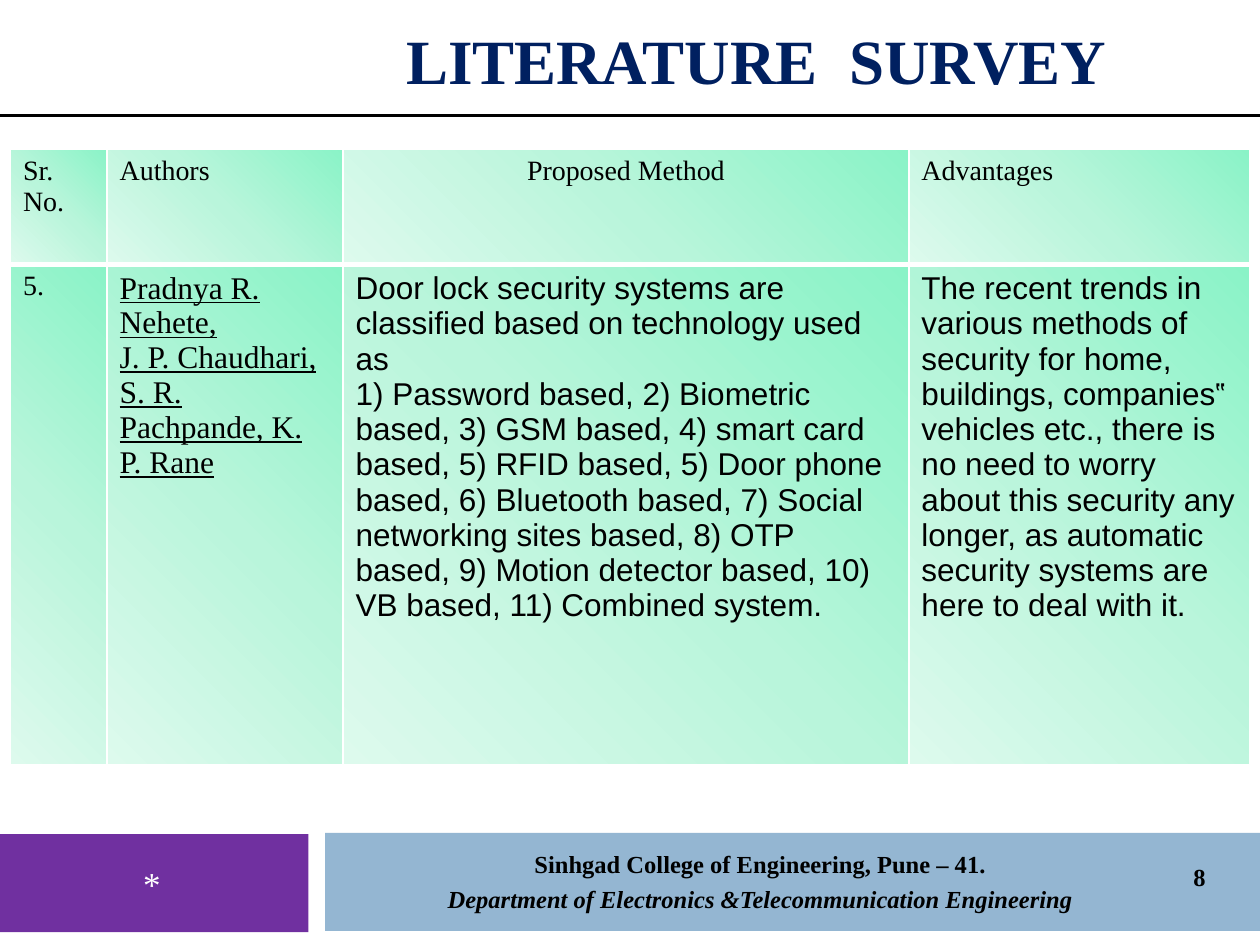
from dataclasses import dataclass

from lxml import etree
from pptx import Presentation
from pptx.dml.color import RGBColor
from pptx.enum.shapes import MSO_CONNECTOR, MSO_SHAPE
from pptx.enum.text import MSO_ANCHOR, PP_ALIGN
from pptx.oxml import parse_xml
from pptx.oxml.ns import nsdecls, qn
from pptx.util import Pt


@dataclass(frozen=True)
class Theme:
    serif: str = "Times New Roman"
    sans: str = "Arial"
    ink: str = "000000"
    white: str = "FFFFFF"
    navy: str = "002060"
    purple: str = "7030A0"
    blue: str = "94B6D2"
    mint: tuple = ("8AF3C7", "B9F5DB", "DDFAED")
    title: int = 36
    mark: int = 20
    body: int = 18
    head: int = 16
    footer: int = 14


T = Theme()
CENTER = PP_ALIGN.CENTER


def write(p, text, size, color=T.ink, font=T.serif, align=PP_ALIGN.LEFT,
          bold=False, italic=False, underline=False):
    p.alignment = align
    r = p.add_run()
    r.text = text
    f = r.font
    f.name, f.size, f.bold, f.italic, f.underline = font, Pt(size), bold, italic, underline
    f.color.rgb = RGBColor.from_string(color)


def add_text(slide, box, anchor=MSO_ANCHOR.MIDDLE):
    tf = slide.shapes.add_textbox(*map(Pt, box)).text_frame
    tf.word_wrap = True
    tf.vertical_anchor = anchor
    return tf


def add_block(slide, box, color):
    sp = slide.shapes.add_shape(MSO_SHAPE.RECTANGLE, *map(Pt, box))
    sp.shadow.inherit = False
    sp.fill.solid()
    sp.fill.fore_color.rgb = RGBColor.from_string(color)
    sp.line.fill.background()


def add_header(slide, box):
    x, y, w, h = box
    rule = slide.shapes.add_connector(MSO_CONNECTOR.STRAIGHT, Pt(x), Pt(y + h), Pt(x + w), Pt(y + h))
    rule.line.width = Pt(1.75)
    rule.line.color.rgb = RGBColor.from_string(T.ink)
    etree.SubElement(rule._element.spPr, qn("a:effectLst"))
    tf = add_text(slide, (x + 225, y + 13.5, 435, 41))
    write(tf.paragraphs[0], "LITERATURE  SURVEY", T.title, T.navy, bold=True)


def style_cell(cell, top, bottom):
    tc_pr = cell._tc.get_or_add_tcPr()
    for side, width in (("L", 1), ("R", 1), ("T", top), ("B", bottom)):
        tc_pr.append(parse_xml(
            f'<a:ln{side} {nsdecls("a")} w="{Pt(width)}"><a:solidFill>'
            f'<a:srgbClr val="{T.white}"/></a:solidFill></a:ln{side}>'))
    stops = "".join(f'<a:gs pos="{i * 50000}"><a:srgbClr val="{c}"/></a:gs>'
                    for i, c in enumerate(T.mint))
    tc_pr.append(parse_xml(
        f'<a:gradFill {nsdecls("a")} rotWithShape="1"><a:gsLst>{stops}</a:gsLst>'
        f'<a:lin ang="{135 * 60000}" scaled="0"/></a:gradFill>'))


def add_survey(slide, box):
    x, y, w, h = box
    head = dict(size=T.head)
    names = dict(size=T.body, underline=True)
    prose = dict(size=T.body, font=T.sans)
    rows = [
        [(["Sr. No."], head), (["Authors"], head),
         (["Proposed Method"], dict(head, align=CENTER)), (["Advantages"], head)],
        [(["5."], dict(head, align=PP_ALIGN.JUSTIFY)),
         (["Pradnya R. Nehete,", "J. P. Chaudhari, S. R. Pachpande, K. P. Rane"], names),
         (["Door lock security systems are classified based on technology used as",
           "1) Password based, 2) Biometric based, 3) GSM based, 4) smart card based, "
           "5) RFID based, 5) Door phone based, 6) Bluetooth based, 7) Social networking "
           "sites based, 8) OTP based, 9) Motion detector based, 10) VB based, "
           "11) Combined system."], prose),
         (["The recent trends in various methods of security for home, buildings, "
           "companies‟ vehicles etc., there is no need to worry about this security any "
           "longer, as automatic security systems are here to deal with it."], prose)],
    ]
    table = slide.shapes.add_table(2, 4, *map(Pt, box)).table
    table.first_row = table.horz_banding = False
    widths = [55.2, 134.8, 323.4]
    for col, width in zip(table.columns, widths + [w - sum(widths)]):
        col.width = Pt(width)
    head_h = 66
    for row, height in zip(table.rows, (head_h, h - head_h)):
        row.height = Pt(height)
    for i, row in enumerate(rows):
        for j, (paragraphs, style) in enumerate(row):
            cell = table.cell(i, j)
            style_cell(cell, *((1, 3) if i == 0 else (3, 1)))
            tf = cell.text_frame
            for k, text in enumerate(paragraphs):
                write(tf.add_paragraph() if k else tf.paragraphs[0], text, **style)


def add_footer(slide, box):
    x, y, w, h = box
    bar_x = x + 185.8
    add_block(slide, (x - 0.7, y + 0.7, 177, h), T.purple)
    add_block(slide, (bar_x, y, x + w - bar_x, h), T.blue)

    tf = add_text(slide, (x + 220.3, y + 5.7, 428.4, 44), MSO_ANCHOR.TOP)
    write(tf.paragraphs[0], "Sinhgad College of Engineering, Pune – 41.", T.footer,
          align=CENTER, bold=True)
    p = tf.add_paragraph()
    p.space_before = Pt(3)
    write(p, "Department of Electronics &Telecommunication Engineering", T.footer,
          align=CENTER, bold=True, italic=True)

    tf = add_text(slide, (x + 652.3, y + 10, 66.2, 30.2))
    write(tf.paragraphs[0], "8", T.footer, align=CENTER, bold=True)
    tf = add_text(slide, (x + 5.8, y + 2, 162, 54))
    write(tf.paragraphs[0], "*", T.mark, T.white, align=CENTER)


def main():
    prs = Presentation()
    prs.slide_width, prs.slide_height = Pt(720), Pt(540)
    slide = prs.slides.add_slide(prs.slide_layouts[6])
    add_header(slide, (0, 0, 720, 66))
    add_survey(slide, (6, 85.2, 708, 351.6))
    add_footer(slide, (0, 476, 720, 56))
    prs.save("out.pptx")


if __name__ == "__main__":
    main()
